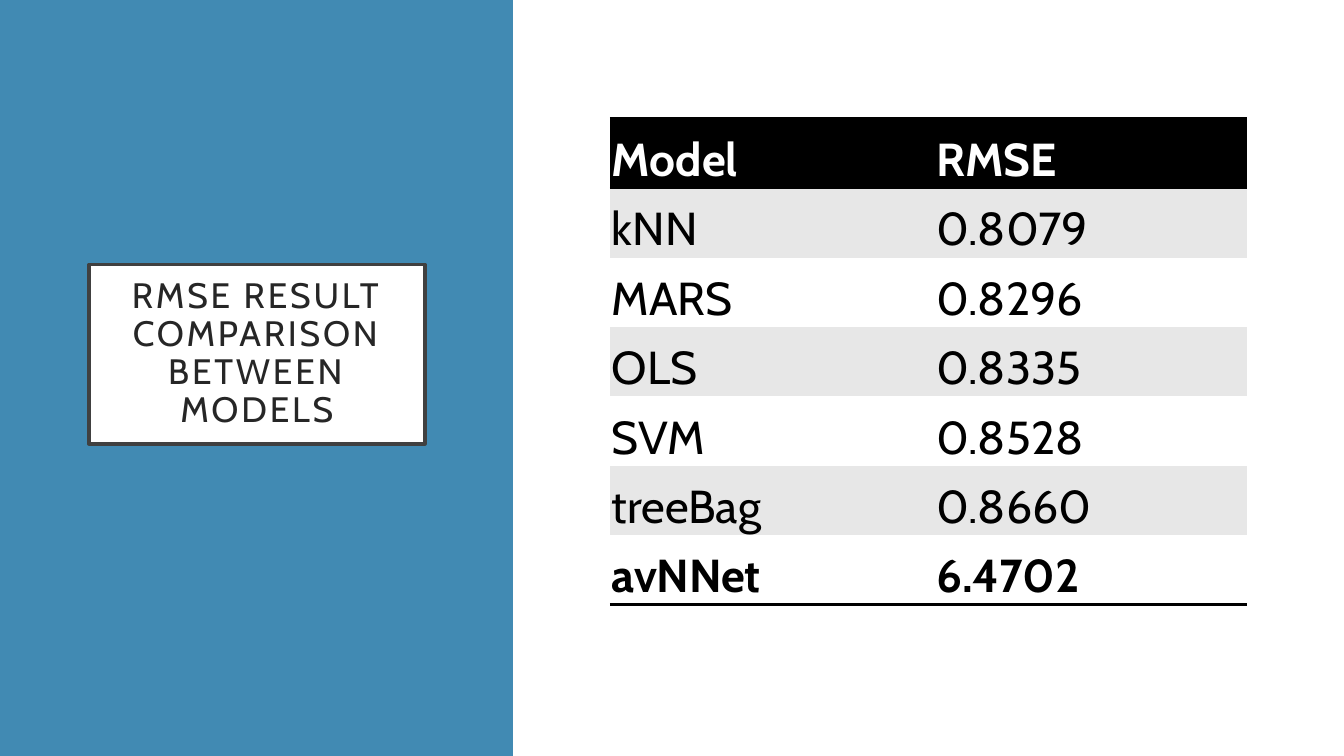
from pptx import Presentation
from pptx import util as u
from pptx.dml.color import RGBColor
from pptx.enum import shapes, text
from pptx.oxml import parse_xml
from pptx.oxml.ns import nsdecls, qn

BLUE = RGBColor(0x41, 0x8A, 0xB3)
WHITE = RGBColor(0xFF, 0xFF, 0xFF)
BLACK = RGBColor(0, 0, 0)
BAND = RGBColor(0xE7, 0xE7, 0xE7)
FRAME = RGBColor(0x40, 0x40, 0x40)
TITLE_INK = RGBColor(0x26, 0x26, 0x26)
FONT = "Cabin"
WIDTH, HEIGHT = 13.33, 7.5
PANEL_LEFT = 5.09
PLAIN_TABLE = "{2D5ABB26-0587-4C30-8999-92F81FD0307C}"
ROWS = [
    ("Model", "RMSE"),
    ("kNN", "0.8079"),
    ("MARS", "0.8296"),
    ("OLS", "0.8335"),
    ("SVM", "0.8528"),
    ("treeBag", "0.8660"),
    ("avNNet", "6.4702"),
]


def write(frame, content, size, color, bold=False, align=None, anchor=None,
          line_spacing=None, tracking=None):
    if anchor is not None:
        frame.vertical_anchor = anchor
    paragraph = frame.paragraphs[0]
    paragraph.alignment = align
    paragraph.line_spacing = line_spacing
    run = paragraph.add_run()
    run.text = content
    run.font.name = FONT
    run.font.size = u.Pt(size)
    run.font.bold = bold
    run.font.color.rgb = color
    if tracking:
        run.font._element.set("spc", str(tracking * 100))


def place(shape, box):
    shape.left, shape.top, shape.width, shape.height = map(u.Inches, box)


def add_title(slide, box):
    left, top, width, height = box
    title = slide.shapes.title
    place(title, (left + width * 0.173, top + height * 0.35, width * 0.655, height * 0.237))
    title.fill.solid()
    title.fill.fore_color.rgb = WHITE
    title.line.color.rgb = FRAME
    title.line.width = u.Pt(2.5)
    frame = title.text_frame
    frame.word_wrap = True
    frame.auto_size = text.MSO_AUTO_SIZE.NONE
    frame.margin_left = frame.margin_right = u.Inches(0.3)
    frame.margin_top = frame.margin_bottom = u.Inches(0.2)
    write(frame, "RMSE RESULT COMPARISON BETWEEN MODELS", 25.2, TITLE_INK,
          align=text.PP_ALIGN.CENTER, anchor=text.MSO_ANCHOR.MIDDLE,
          line_spacing=0.9, tracking=2)


def add_panel(slide, box):
    panel = slide.shapes.add_shape(shapes.MSO_SHAPE.RECTANGLE, *map(u.Inches, box))
    panel.shadow.inherit = False
    panel.fill.solid()
    panel.fill.fore_color.rgb = WHITE
    panel.line.fill.background()


def add_borders(cell, sides):
    properties = cell._tc.get_or_add_tcPr()
    for position, side in enumerate(sides):
        properties.insert(position, parse_xml(
            f'<a:ln{side} {nsdecls("a")} w="{u.Pt(2)}"><a:solidFill>'
            f'<a:srgbClr val="{BLACK}"/></a:solidFill></a:ln{side}>'))


def add_results(slide, box):
    left, top, width, height = box
    area = (left + width * 0.1165, top + height * 0.157, width * 0.767, height * 0.643)
    table = slide.shapes.add_table(len(ROWS), 2, *map(u.Inches, area)).table
    table._tbl.tblPr.find(qn("a:tableStyleId")).text = PLAIN_TABLE
    table.horz_banding = False
    for column, share in zip(table.columns, (0.509, 0.491)):
        column.width = u.Inches(area[2] * share)
    last = len(ROWS) - 1
    for row, values in enumerate(ROWS):
        header = row == 0
        fill = BLACK if header else BAND if row % 2 else WHITE
        sides = "TB" if header else "B" if row == last else ""
        for column, value in enumerate(values):
            cell = table.cell(row, column)
            cell.margin_left = cell.margin_right = cell.margin_top = u.Inches(0.02)
            cell.margin_bottom = 0
            cell.vertical_anchor = text.MSO_ANCHOR.BOTTOM
            cell.fill.solid()
            cell.fill.fore_color.rgb = fill
            add_borders(cell, sides)
            write(cell.text_frame, value, 33, WHITE if header else BLACK,
                  bold=row in (0, last))


def main():
    presentation = Presentation()
    presentation.slide_width = u.Inches(WIDTH)
    presentation.slide_height = u.Inches(HEIGHT)
    slide = presentation.slides.add_slide(presentation.slide_layouts[5])
    slide.background.fill.solid()
    slide.background.fill.fore_color.rgb = BLUE
    panel_box = (PANEL_LEFT, 0, WIDTH - PANEL_LEFT, HEIGHT)
    add_title(slide, (0, 0, PANEL_LEFT, HEIGHT))
    add_panel(slide, panel_box)
    add_results(slide, panel_box)
    presentation.save("out.pptx")


if __name__ == "__main__":
    main()
